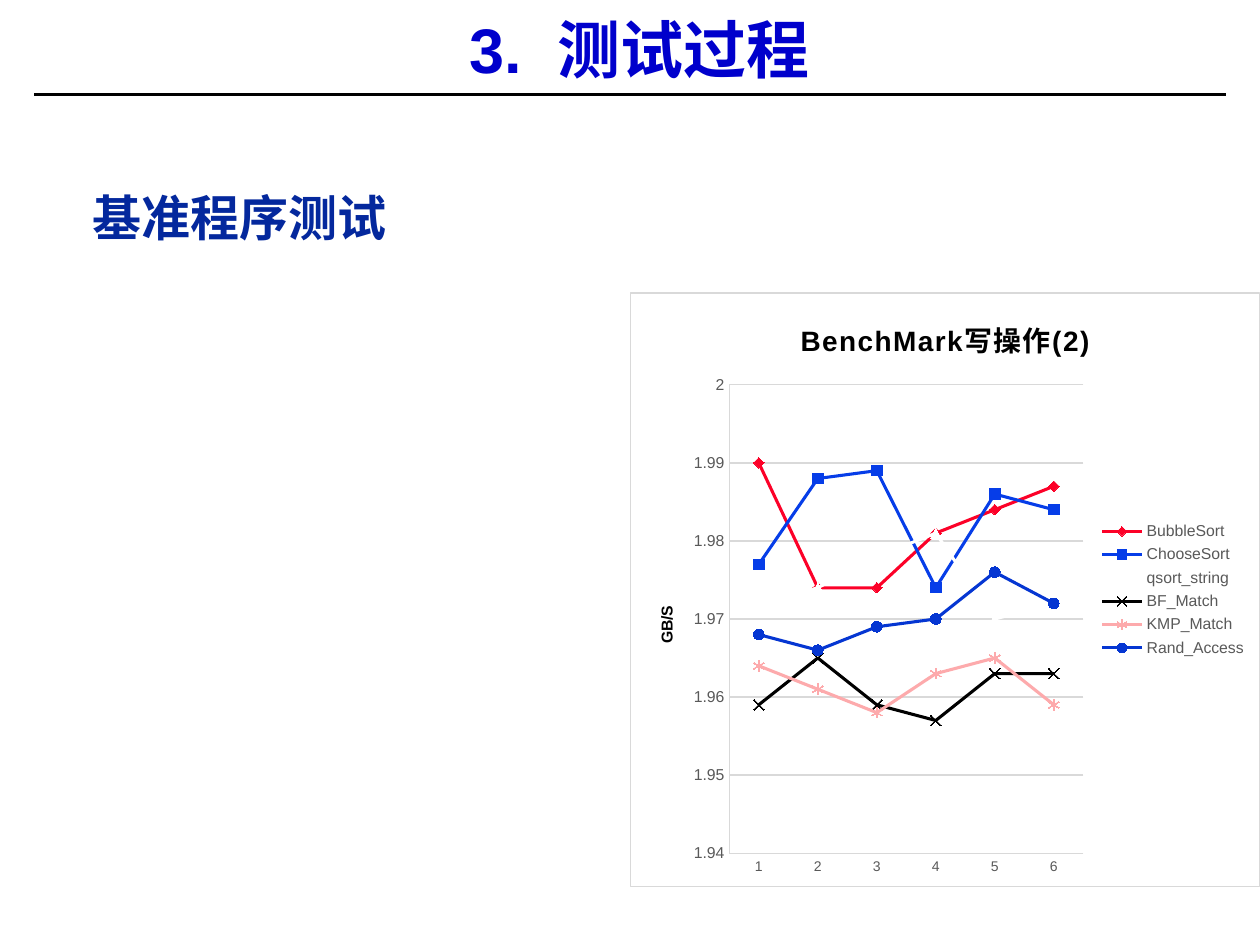
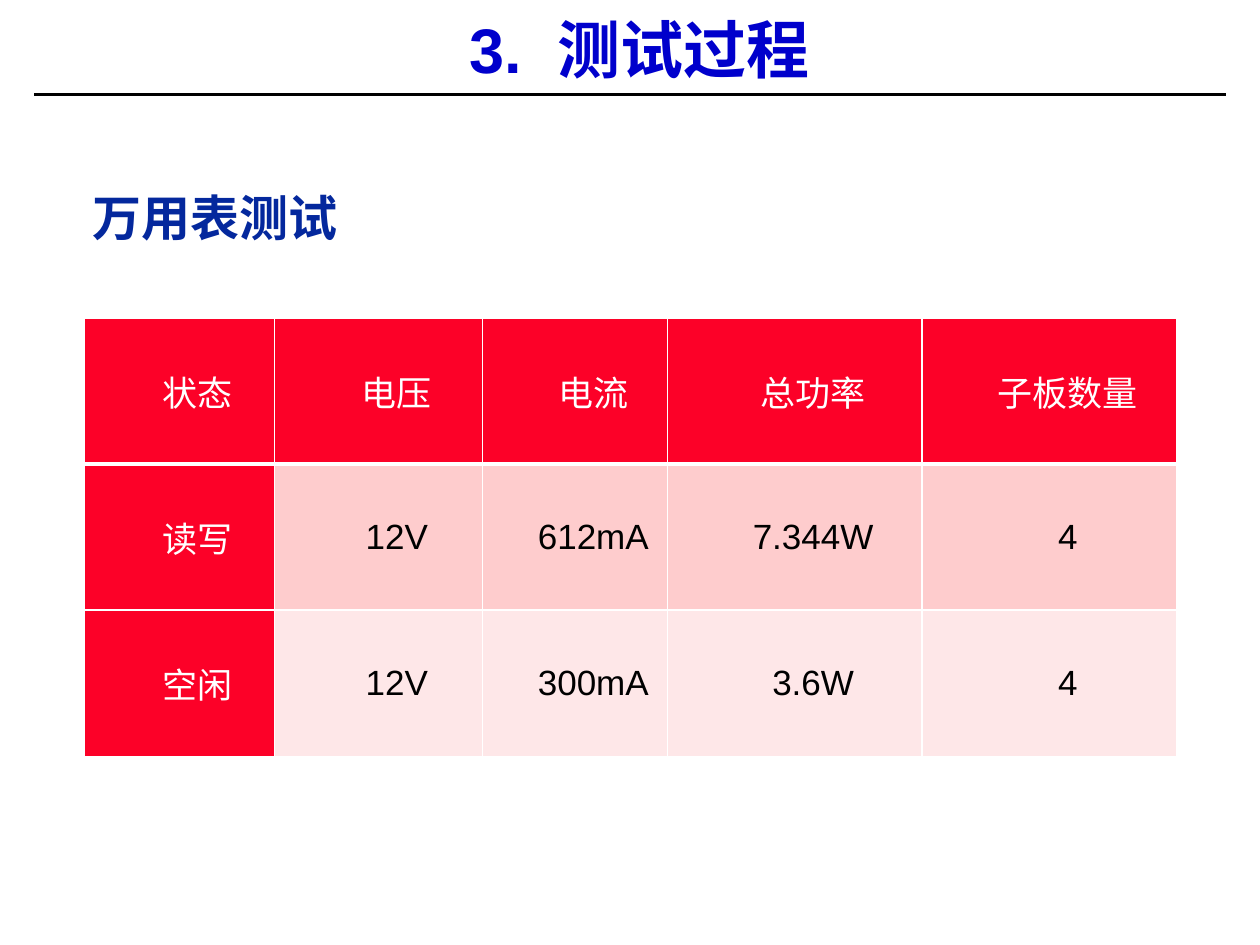
from lxml.etree import SubElement
from pptx import Presentation
from pptx.chart.data import CategoryChartData
from pptx.dml.color import RGBColor
from pptx.enum.chart import XL_CHART_TYPE, XL_LEGEND_POSITION, XL_MARKER_STYLE, XL_TICK_MARK
from pptx.enum.shapes import MSO_CONNECTOR
from pptx.enum.text import MSO_ANCHOR, MSO_AUTO_SIZE, PP_ALIGN
from pptx.oxml import parse_xml
from pptx.oxml.ns import nsdecls, qn
from pptx.util import Pt

FONT = "Arial"
COLORS = {
    "white": "FFFFFF", "black": "000000", "title": "0000CC", "heading": "04289D",
    "red": "FC0128", "blue": "063DE8", "pink": "FDAAAC", "deep_blue": "0536D2",
    "grid": "D9D9D9", "label": "595959", "row_dark": "FECCCD", "row_light": "FEE7E8",
}

# Each series: name, colour, marker, whether the marker is filled, GB/S values
WRITE_SPEEDS = [
    ("BubbleSort", "red", XL_MARKER_STYLE.DIAMOND, True,
     (1.990, 1.974, 1.974, 1.981, 1.984, 1.987)),
    ("ChooseSort", "blue", XL_MARKER_STYLE.SQUARE, True,
     (1.977, 1.988, 1.989, 1.974, 1.986, 1.984)),
    ("qsort_string", "white", XL_MARKER_STYLE.TRIANGLE, True,
     (1.972, 1.974, 1.978, 1.981, 1.970, 1.972)),
    ("BF_Match", "black", XL_MARKER_STYLE.X, False,
     (1.959, 1.965, 1.959, 1.957, 1.963, 1.963)),
    ("KMP_Match", "pink", XL_MARKER_STYLE.STAR, False,
     (1.964, 1.961, 1.958, 1.963, 1.965, 1.959)),
    ("Rand_Access", "deep_blue", XL_MARKER_STYLE.CIRCLE, True,
     (1.968, 1.966, 1.969, 1.970, 1.976, 1.972)),
]

POWER_ROWS = [
    ("状态", "电压", "电流", "总功率", "子板数量"),
    ("读写", "12V", "612mA", "7.344W", "4"),
    ("空闲", "12V", "300mA", "3.6W", "4"),
]
POWER_COLUMNS = (108.7, 118.8, 105.8, 145.45, 145.45)


def rgb(name):
    return RGBColor.from_string(COLORS[name])


def style_font(font, size, color, bold=False):
    font.name = FONT
    font.size = Pt(size)
    font.bold = bold
    font.color.rgb = rgb(color)


def style_line(line, color, width):
    line.color.rgb = rgb(color)
    line.width = Pt(width)


def add_text_box(page, left, top, width, height):
    box = page.shapes.add_textbox(Pt(left), Pt(top), Pt(width), Pt(height))
    box.text_frame.auto_size = MSO_AUTO_SIZE.SHAPE_TO_FIT_TEXT
    return box


def add_page(deck, heading, heading_width):
    """Add a page with the shared rule, title and section heading."""
    page = deck.slides.add_slide(deck.slide_layouts[6])

    # Rule under the title
    rule = page.shapes.add_connector(
        MSO_CONNECTOR.STRAIGHT, Pt(19.5), Pt(54), Pt(700.5), Pt(54))
    style_line(rule.line, "black", 1.5)
    SubElement(rule.element.spPr, qn("a:effectLst"))

    # Title, with its number set apart by a widened space
    frame = add_text_box(page, 18.7, 10, 693.4, 41.8).text_frame
    frame.word_wrap = True
    frame.vertical_anchor = MSO_ANCHOR.MIDDLE
    frame.margin_left = frame.margin_right = Pt(5)
    frame.margin_top = frame.margin_bottom = Pt(2.2)
    para = frame.paragraphs[0]
    para.alignment = PP_ALIGN.CENTER
    para.line_spacing = 0.87
    for piece in ("3.", " ", "测试过程"):
        span = para.add_run()
        span.text = piece
        style_font(span.font, 36, "title", True)
        if piece == " ":
            span.font._element.set("spc", "1000")

    # Section heading
    frame = add_text_box(page, 46, 103.7, heading_width, 41).text_frame
    frame.word_wrap = False
    frame.text = heading
    style_font(frame.paragraphs[0].runs[0].font, 28, "heading", True)
    return page


def style_axis(axis, size):
    axis.major_tick_mark = axis.minor_tick_mark = XL_TICK_MARK.NONE
    style_font(axis.tick_labels.font, size, "label")
    style_line(axis.format.line, "grid", 0.75)


def set_chart_frame(chart):
    """Give the chart its background, border and fixed plot area."""
    chart_part = chart.element.find(qn("c:chart"))
    chart_part.addnext(parse_xml(
        f'<c:spPr {nsdecls("c", "a")}>'
        f'<a:solidFill><a:srgbClr val="{COLORS["white"]}"/></a:solidFill>'
        f'<a:ln w="{Pt(0.75)}"><a:solidFill><a:srgbClr val="{COLORS["grid"]}"/>'
        '</a:solidFill></a:ln></c:spPr>'))
    plot_area = chart_part.find(qn("c:plotArea"))
    for old_layout in plot_area.findall(qn("c:layout")):
        plot_area.remove(old_layout)
    layout = parse_xml(
        f'<c:layout {nsdecls("c")}><c:manualLayout><c:layoutTarget val="inner"/>'
        '<c:xMode val="edge"/><c:yMode val="edge"/><c:x val="0.157"/><c:y val="0.155"/>'
        '<c:w val="0.563"/><c:h val="0.789"/></c:manualLayout></c:layout>')
    plot_area.insert(0, layout)


def add_speed_chart(page, left, top, width, height):
    data = CategoryChartData()
    data.categories = [str(number) for number in range(1, 7)]
    for name, _, _, _, values in WRITE_SPEEDS:
        data.add_series(name, values)
    chart = page.shapes.add_chart(
        XL_CHART_TYPE.LINE_MARKERS, Pt(left), Pt(top), Pt(width), Pt(height), data).chart
    style_font(chart.font, 10, "black")
    set_chart_frame(chart)

    # Chart title
    chart.has_title = True
    frame = chart.chart_title.text_frame
    frame.text = "BenchMark写操作(2)"
    title_font = frame.paragraphs[0].runs[0].font
    style_font(title_font, 16, "black", True)
    title_font._element.set("spc", "100")

    # Axes
    style_axis(chart.category_axis, 8)
    speed_axis = chart.value_axis
    style_axis(speed_axis, 9)
    speed_axis.minimum_scale, speed_axis.maximum_scale = 1.94, 2
    speed_axis.major_unit = 0.01
    speed_axis.tick_labels.number_format = "General"
    speed_axis.tick_labels.number_format_is_linked = False
    style_line(speed_axis.major_gridlines.format.line, "grid", 0.75)
    speed_axis.axis_title.text_frame.text = "GB/S"
    unit = speed_axis.axis_title.text_frame.paragraphs[0].runs[0]
    style_font(unit.font, 9, "black", True)

    # Legend
    chart.has_legend = True
    chart.legend.position = XL_LEGEND_POSITION.RIGHT
    chart.legend.include_in_layout = False
    style_font(chart.legend.font, 9, "label")

    # Series
    plot = chart.plots[0]
    plot.vary_by_categories = False
    for series, (_, color, marker, filled, _) in zip(plot.series, WRITE_SPEEDS):
        series.smooth = False
        style_line(series.format.line, color, 1.75)
        series.marker.style = marker
        series.marker.size = 6
        style_line(series.marker.format.line, color, 0.75)
        if filled:
            series.marker.format.fill.solid()
            series.marker.format.fill.fore_color.rgb = rgb(color)
        else:
            series.marker.format.fill.background()


def style_cell(cell, row, column):
    is_header = row == 0 or column == 0
    cell.vertical_anchor = MSO_ANCHOR.MIDDLE
    cell.margin_left = cell.margin_right = Pt(5)
    cell.margin_top = cell.margin_bottom = 0

    # Borders, heavier below the top row
    properties = cell._tc.get_or_add_tcPr()
    for side in "LRTB":
        width = 3 if row == 0 and side == "B" else 1
        border = SubElement(properties, qn(f"a:ln{side}"), w=str(Pt(width)))
        paint = SubElement(border, qn("a:solidFill"))
        SubElement(paint, qn("a:srgbClr"), val=COLORS["white"])
    cell.fill.solid()
    cell.fill.fore_color.rgb = rgb(
        "red" if is_header else "row_dark" if row % 2 else "row_light")

    # Text, with a first-line indent
    para = cell.text_frame.paragraphs[0]
    para.alignment = PP_ALIGN.CENTER
    para._p.get_or_add_pPr().set("indent", str(Pt(21)))
    style_font(para.runs[0].font, 20, "white" if is_header else "black")


def add_power_table(page, left, top, row_height):
    table = page.shapes.add_table(
        len(POWER_ROWS), len(POWER_COLUMNS), Pt(left), Pt(top),
        Pt(sum(POWER_COLUMNS)), Pt(row_height * len(POWER_ROWS))).table
    for column, width in zip(table.columns, POWER_COLUMNS):
        column.width = Pt(width)
    for row, texts in enumerate(POWER_ROWS):
        table.rows[row].height = Pt(row_height)
        for column, text in enumerate(texts):
            cell = table.cell(row, column)
            cell.text_frame.text = text
            style_cell(cell, row, column)


def main():
    deck = Presentation()
    deck.slide_width, deck.slide_height = Pt(720), Pt(540)
    add_speed_chart(add_page(deck, "基准程序测试", 185), 360, 167, 360, 340)
    add_power_table(add_page(deck, "万用表测试", 156.2), 48.2, 181.7, 83.5)
    deck.save("out.pptx")


if __name__ == "__main__":
    main()
